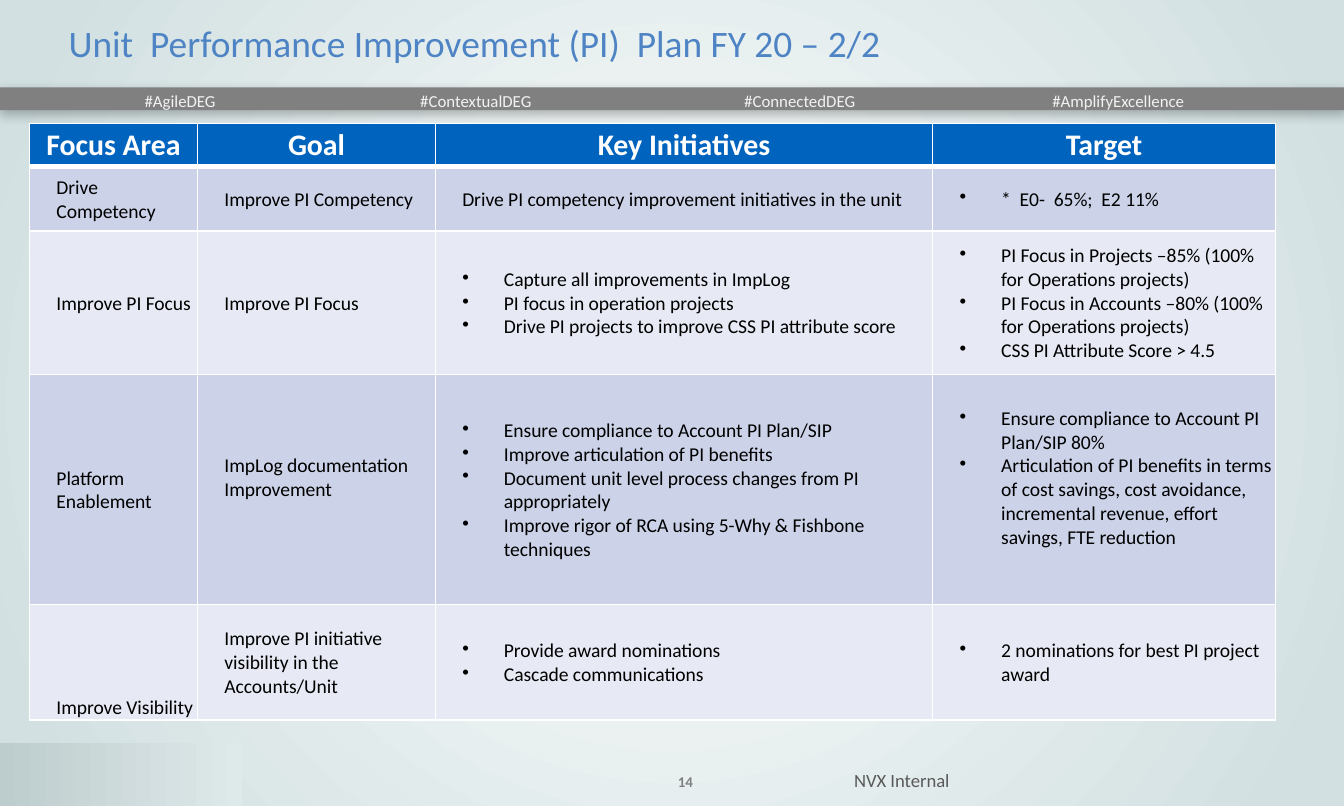
import dataclasses

import pptx
import pptx.dml.color
import pptx.enum.shapes
import pptx.enum.text
import pptx.oxml
import pptx.oxml.ns
import pptx.util

EMU_PER_PX = 9144  # 100 px to the inch
ALIGN = pptx.enum.text.PP_ALIGN
ANCHOR = pptx.enum.text.MSO_ANCHOR
RECT = pptx.enum.shapes.MSO_SHAPE.RECTANGLE
NS = pptx.oxml.ns.nsdecls("a")


@dataclasses.dataclass(frozen=True)
class Theme:
    face: str = "Calibri"
    glow: str = "FFFFFF"
    edge: str = "D2E0E1"
    title: str = "4E84C4"
    bar: str = "808080"
    tag: str = "F2F2F2"
    foot: str = "595959"
    head: str = "0063BE"
    white: str = "FFFFFF"
    ink: str = "000000"
    bands: tuple = ("CCD3E8", "E7EAF4")
    fade: tuple = ("BDCCCD", "DEE9E9")
    title_size: float = 20
    head_size: float = 16
    cell_size: float = 10.5
    foot_size: float = 10
    tag_size: float = 9
    page_size: float = 8


THEME = Theme()

TAGS = [("#AgileDEG", 134), ("#ContextualDEG", 354),
        ("#ConnectedDEG", 595), ("#AmplifyExcellence", 832)]
COLS = [125, 177, 370, 255]
ROWS = [32, 48, 107, 171, 86]
HEADS = ["Focus Area", "Goal", "Key Initiatives", "Target"]
# A list becomes bullets; a plain string stays plain.
PLAN = [
    ["Drive Competency", "Improve PI Competency",
     "Drive PI competency improvement initiatives in the unit",
     ["*  E0-  65%;  E2 11%"]],
    ["Improve PI Focus", "Improve PI Focus",
     ["Capture all improvements in ImpLog",
      "PI focus in operation projects",
      "Drive PI projects to improve CSS PI attribute score"],
     ["PI Focus in Projects –85% (100% for Operations projects)",
      "PI Focus in Accounts –80% (100% for Operations projects)",
      "CSS PI Attribute Score > 4.5"]],
    ["Platform Enablement", "ImpLog documentation Improvement",
     ["Ensure compliance to Account PI Plan/SIP",
      "Improve articulation of PI benefits",
      "Document unit level process changes from PI appropriately",
      "Improve rigor of RCA using 5-Why & Fishbone techniques"],
     ["Ensure compliance to Account PI Plan/SIP 80%",
      "Articulation of PI benefits in terms of cost savings, cost avoidance, "
      "incremental revenue, effort savings, FTE reduction"]],
    ["Improve Visibility",
     "Improve PI initiative visibility in the Accounts/Unit",
     ["Provide award nominations", "Cascade communications"],
     ["2 nominations for best PI project award"]],
]
RAISED = {(3, 1), (3, 3)}  # cells whose text sits half a line above the middle
LOW = {(4, 0)}  # cells with text at the bottom


def px(count):
    return pptx.util.Emu(count * EMU_PER_PX)


def rgb(code):
    return pptx.dml.color.RGBColor.from_string(code)


def style(para, size, color, bold=False, align=ALIGN.LEFT):
    para.alignment = align
    font = para.font
    font.name, font.size, font.bold = THEME.face, pptx.util.Pt(size), bold
    font.color.rgb = rgb(color)


def blend(fill, stops):
    """Give a fill a two-stop gradient of (position, color)."""
    fill.gradient()
    for stop, (place, color) in zip(fill.gradient_stops, stops):
        stop.position = place
        stop.color.rgb = rgb(color)


def paint_ground(slide):
    fill = slide.background.fill
    blend(fill, [(0, THEME.glow), (0.93, THEME.edge)])
    line = slide.element.find(".//" + pptx.oxml.ns.qn("a:lin"))
    line.getparent().replace(line, pptx.oxml.parse_xml(
        f'<a:path {NS} path="circle"><a:fillToRect l="50000" t="50000" '
        'r="50000" b="50000"/></a:path>'))


def add_block(slide, left, top, width, height):
    block = slide.shapes.add_shape(RECT, *map(px, (left, top, width, height)))
    block.shadow.inherit = False
    block.line.fill.background()
    return block


def add_bar(slide):
    bar = add_block(slide, 0, 65, 1000, 17)
    bar.fill.solid()
    bar.fill.fore_color.rgb = rgb(THEME.bar)
    glow = bar.element.spPr.find(pptx.oxml.ns.qn("a:effectLst"))
    glow.append(pptx.oxml.parse_xml(
        f'<a:outerShdw {NS} blurRad="76200" dist="25400" dir="5400000">'
        '<a:srgbClr val="000000"><a:alpha val="25000"/></a:srgbClr>'
        '</a:outerShdw>'))


def add_fade(slide):
    fade = add_block(slide, 0, 553, 180, 47)
    blend(fade.fill, list(enumerate(THEME.fade)))
    fade.fill.gradient_angle = 0


def add_label(slide, text, center, middle, size, color, bold=False):
    """Add a one-line text box centred on a point."""
    width, height = 200, 24
    box = slide.shapes.add_textbox(px(center - width // 2),
                                   px(middle - height // 2),
                                   px(width), px(height))
    frame = box.text_frame
    frame.word_wrap = True
    frame.vertical_anchor = ANCHOR.MIDDLE
    frame.text = text
    style(frame.paragraphs[0], size, color, bold, ALIGN.CENTER)


def set_title(slide, text):
    title = slide.shapes.title
    title.left, title.top, title.width, title.height = map(
        px, (44, 4, 745, 56))
    frame = title.text_frame
    frame.margin_left = frame.margin_right = px(7)
    frame.margin_top = frame.margin_bottom = px(4)
    frame.vertical_anchor = ANCHOR.MIDDLE
    frame.text = text
    style(frame.paragraphs[0], THEME.title_size, THEME.title)


def add_edges(cell, row):
    """Draw white cell borders, thicker below the header row."""
    props = cell._tc.get_or_add_tcPr()
    widths = {"L": 1, "R": 1, "T": 3 if row == 1 else 1,
              "B": 3 if row == 0 else 1}
    for side, width in widths.items():
        props.append(pptx.oxml.parse_xml(
            f'<a:ln{side} {NS} w="{width * 12700}"><a:solidFill>'
            f'<a:srgbClr val="{THEME.white}"/></a:solidFill></a:ln{side}>'))


def add_bullet(para):
    props = para._p.get_or_add_pPr()
    props.set("marL", str(px(31)))
    props.set("indent", str(px(-31)))
    props.append(pptx.oxml.parse_xml(f'<a:buChar {NS} char="•"/>'))


def fill_cell(cell, row, col, text):
    head = row == 0
    add_edges(cell, row)
    cell.fill.solid()
    cell.fill.fore_color.rgb = rgb(
        THEME.head if head else THEME.bands[(row - 1) % 2])
    cell.margin_left = px(1 if head else 20)
    cell.margin_right = cell.margin_top = px(1)
    cell.margin_bottom = px(18 if (row, col) in RAISED else 0)
    cell.vertical_anchor = (ANCHOR.BOTTOM if (row, col) in LOW
                            else ANCHOR.MIDDLE)
    listed = isinstance(text, list)
    cell.text = "\n".join(text) if listed else text
    for para in cell.text_frame.paragraphs:
        if listed:
            add_bullet(para)
        if head:
            style(para, THEME.head_size, THEME.white, True, ALIGN.CENTER)
        else:
            style(para, THEME.cell_size, THEME.ink)


def add_plan(slide):
    frame = slide.shapes.add_table(len(ROWS), len(COLS), px(22), px(92),
                                   px(sum(COLS)), px(sum(ROWS)))
    table = frame.table
    for col, width in zip(table.columns, COLS):
        col.width = px(width)
    for row, height in zip(table.rows, ROWS):
        row.height = px(height)
    for row, texts in enumerate([HEADS] + PLAN):
        for col, text in enumerate(texts):
            fill_cell(table.cell(row, col), row, col, text)


def main():
    deck = pptx.Presentation()
    deck.slide_width, deck.slide_height = px(1000), px(600)
    slide = deck.slides.add_slide(deck.slide_layouts[5])
    paint_ground(slide)
    add_fade(slide)
    add_bar(slide)
    for tag, center in TAGS:
        add_label(slide, tag, center, 75, THEME.tag_size, THEME.tag)
    set_title(slide, "Unit  Performance Improvement (PI)  Plan FY 20 – 2/2")
    add_plan(slide)
    add_label(slide, "14", 510, 582, THEME.page_size, THEME.bar, True)
    add_label(slide, "NVX Internal", 671, 581, THEME.foot_size, THEME.foot)
    deck.save("out.pptx")


if __name__ == "__main__":
    main()
